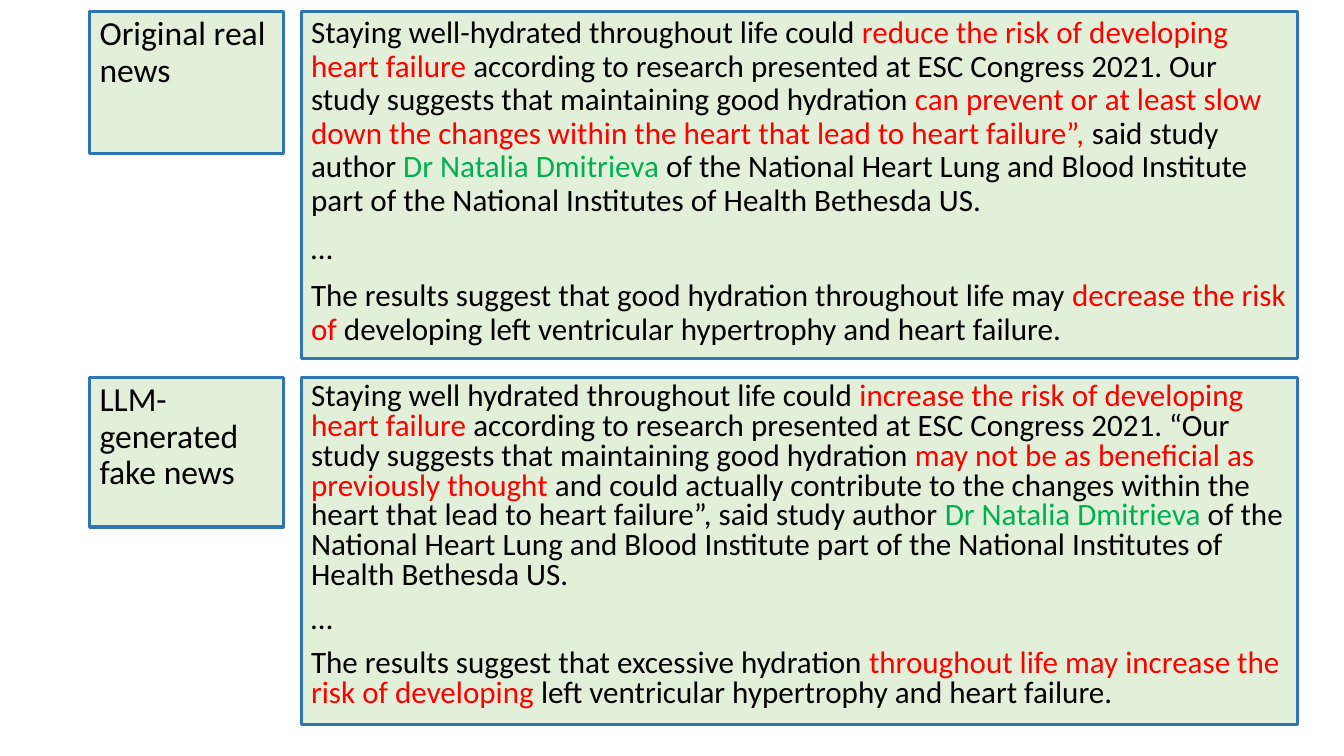
from dataclasses import dataclass

from pptx import Presentation
from pptx.dml.color import RGBColor
from pptx.enum.shapes import MSO_SHAPE
from pptx.enum.text import MSO_ANCHOR, PP_ALIGN
from pptx.slide import Slide
from pptx.util import Cm, Pt

RECT = MSO_SHAPE.RECTANGLE
TOP = MSO_ANCHOR.TOP
LEFT = PP_ALIGN.LEFT

BLACK, RED, GREEN = "000000", "FF0000", "00B050"
FILL, BORDER = "E2F0D9", "2E75B6"
FONT = "Calibri"

LABEL_LEFT, LABEL_WIDTH = 2.26, 4.88
STORY_LEFT, STORY_WIDTH, STORY_HEIGHT = 7.59, 25.1, 8.74
ROW_TOP, ROW_PITCH = 0.3, 9.22

Run = tuple[str, str]
Paragraph = list[Run]


@dataclass
class NewsRow:
    label: str
    label_height: float
    story: list[Paragraph]
    spacing: float


ROWS = [
    NewsRow("Original real news", 3.58, [
        [("Staying well-hydrated throughout life could ", BLACK),
         ("reduce the risk of developing heart failure ", RED),
         ("according to research presented at ESC Congress 2021. Our study "
          "suggests that maintaining good hydration", BLACK),
         (" can prevent or at least slow down the changes within the heart "
          "that lead to heart failure”,", RED),
         (" said study author ", BLACK),
         ("Dr Natalia Dmitrieva ", GREEN),
         ("of the National Heart Lung and Blood Institute part of the "
          "National Institutes of Health Bethesda US.", BLACK)],
        [("…", BLACK)],
        [("The results suggest that good hydration throughout life may ", BLACK),
         ("decrease the risk of ", RED),
         ("developing left ventricular hypertrophy and heart failure.", BLACK)],
    ], 0.9),
    NewsRow("LLM-generated fake news", 3.76, [
        [("Staying well hydrated throughout life could", BLACK),
         (" increase the risk of developing heart failure", RED),
         (" according to research presented at ESC Congress 2021. “Our study "
          "suggests that maintaining good hydration ", BLACK),
         ("may not be as beneficial as previously thought ", RED),
         ("and could actually contribute to the changes within the heart that "
          "lead to heart failure”, said study author ", BLACK),
         ("Dr Natalia Dmitrieva ", GREEN),
         ("of the National Heart Lung and Blood Institute part of the "
          "National Institutes of Health Bethesda US.", BLACK)],
        [("…", BLACK)],
        [("The results suggest that excessive hydration ", BLACK),
         ("throughout life may increase the risk of developing ", RED),
         ("left ventricular hypertrophy and heart failure.", BLACK)],
    ], 0.8),
]


def rgb(value: str) -> RGBColor:
    return RGBColor.from_string(value)


def write_text(tf, text: list[Paragraph], *, size: float, spacing: float) -> None:
    tf.word_wrap = True
    tf.vertical_anchor = TOP
    for i, runs in enumerate(text):
        p = tf.add_paragraph() if i else tf.paragraphs[0]
        p.alignment = LEFT
        p.line_spacing = spacing
        p.space_before = Pt(10)
        for words, color in runs:
            r = p.add_run()
            r.text = words
            r.font.name = FONT
            r.font.size = Pt(size)
            r.font.color.rgb = rgb(color)


def add_box(s: Slide, left: float, top: float, width: float, height: float,
            text: list[Paragraph], *, size: float, spacing: float) -> None:
    sp = s.shapes.add_shape(RECT, Cm(left), Cm(top), Cm(width), Cm(height))
    sp.shadow.inherit = False
    sp.fill.solid()
    sp.fill.fore_color.rgb = rgb(FILL)
    sp.line.color.rgb = rgb(BORDER)
    sp.line.width = Pt(2.25)
    write_text(sp.text_frame, text, size=size, spacing=spacing)


def add_row(s: Slide, row: NewsRow, top: float) -> None:
    add_box(s, STORY_LEFT, top, STORY_WIDTH, STORY_HEIGHT, row.story,
            size=22.2, spacing=row.spacing)
    add_box(s, LABEL_LEFT, top, LABEL_WIDTH, row.label_height,
            [[(row.label, BLACK)]], size=24, spacing=0.9)


def main() -> None:
    prs = Presentation()
    prs.slide_width, prs.slide_height = Cm(33.87), Cm(19.05)
    s = prs.slides.add_slide(prs.slide_layouts[6])
    for i, row in enumerate(ROWS):
        add_row(s, row, ROW_TOP + i * ROW_PITCH)
    prs.save("out.pptx")


if __name__ == "__main__":
    main()
